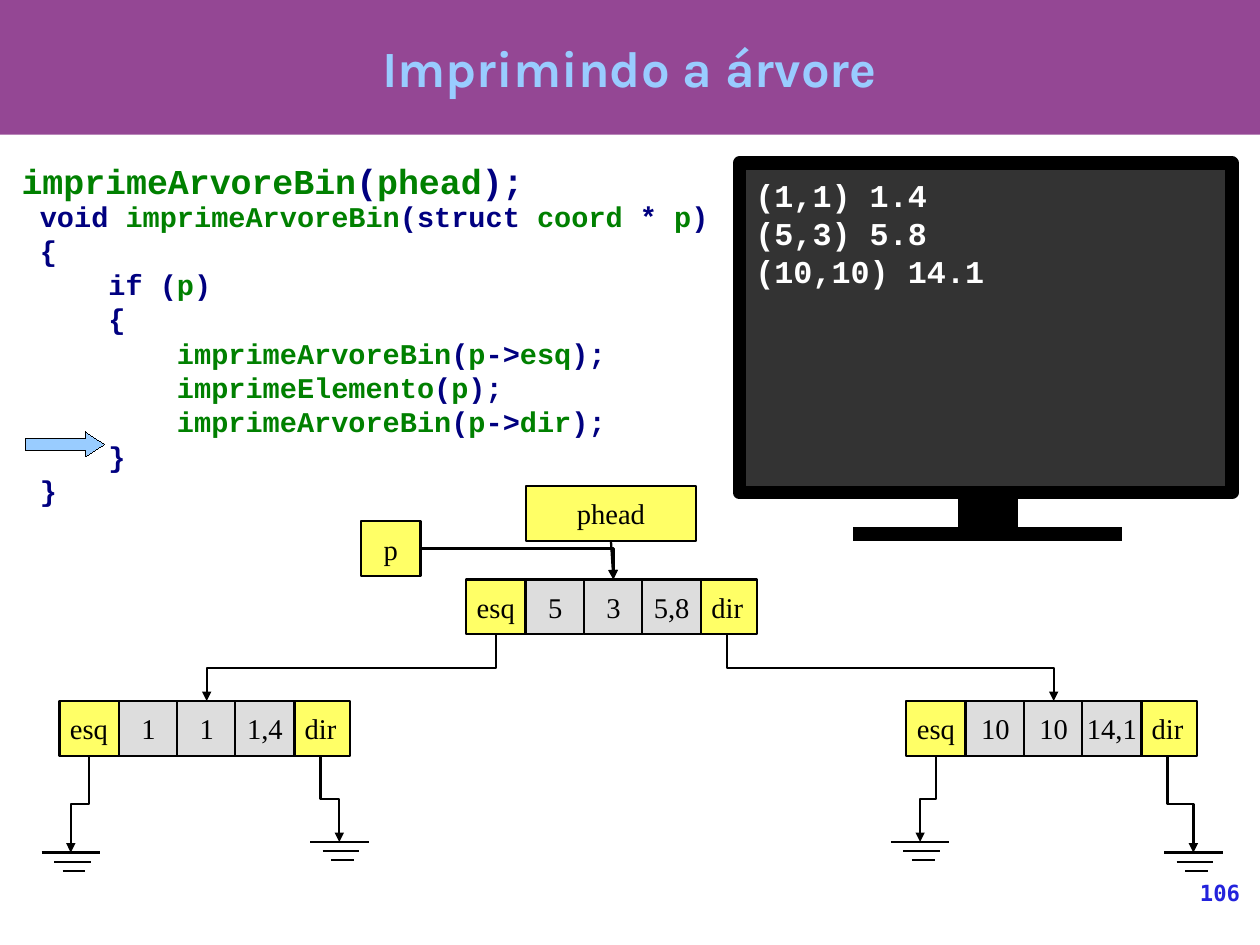
from pptx import Presentation
from pptx.dml.color import RGBColor
from pptx.enum.shapes import MSO_CONNECTOR, MSO_SHAPE
from pptx.enum.text import MSO_ANCHOR, MSO_AUTO_SIZE, PP_ALIGN
from pptx.oxml.ns import qn
from pptx.util import Pt
from lxml.etree import SubElement

BLACK, WHITE, NAVY, GREEN = "000000", "FFFFFF", "000080", "008000"
YELLOW, GREY, SKY = "FFFF66", "DDDDDD", "99CCFF"
SLIDE_W, SLIDE_H = 793.7, 595.28
CELL_W, CELL_H, PITCH, DIR_X = 37.4, 34.6, 36.7, 145.8
LINE_W, HAIRLINE = 1.45, 0.01

CODE = [
    "void |imprimeArvoreBin|(struct |coord |* |p|)",
    "{",
    "    if (|p|)",
    "    {",
    "        |imprimeArvoreBin|(|p|->|esq|);",
    "        |imprimeElemento|(|p|);",
    "        |imprimeArvoreBin|(|p|->|dir|);",
    "    }",
    "}",
]


def rgb(color):
    return RGBColor.from_string(color)


def style(r, size, font, color, bold=False):
    r.font.size = Pt(size)
    r.font.name = font
    r.font.bold = bold
    r.font.color.rgb = rgb(color)


def add_box(s, x, y, w, h, fill, line=None, width=HAIRLINE, kind=MSO_SHAPE.RECTANGLE):
    sp = s.shapes.add_shape(kind, Pt(x), Pt(y), Pt(w), Pt(h))
    sp.shadow.inherit = False
    sp.fill.solid()
    sp.fill.fore_color.rgb = rgb(fill)
    if line:
        sp.line.color.rgb = rgb(line)
        sp.line.width = Pt(width)
    else:
        sp.line.fill.background()
    return sp


def add_text(s, x, y, w, h, wrap=True):
    tf = s.shapes.add_textbox(Pt(x), Pt(y), Pt(w), Pt(h)).text_frame
    tf.word_wrap = wrap
    return tf


def add_line(shapes, x1, y1, x2, y2, kind=MSO_CONNECTOR.STRAIGHT, arrow=False):
    c = shapes.add_connector(kind, Pt(x1), Pt(y1), Pt(x2), Pt(y2))
    c.line.color.rgb = rgb(BLACK)
    c.line.width = Pt(LINE_W)
    if arrow:
        SubElement(c.element.spPr.find(qn("a:ln")), qn("a:tailEnd"), type="triangle")
    SubElement(c.element.spPr, qn("a:effectLst"))
    return c


def add_drop(s, x1, y1, x2, y2):
    run, fall = abs(x2 - x1), y2 - y1
    x, y = (x1 + x2 - fall) / 2, (y1 + y2 - run) / 2
    c = add_line(s.shapes, x, y, x + fall, y + run, MSO_CONNECTOR.ELBOW, True)
    xfrm = c.element.spPr.find(qn("a:xfrm"))
    if x2 < x1:
        xfrm.set("rot", "5400000")
    else:
        xfrm.set("rot", "16200000")
        xfrm.set("flipH", "1")


def add_cell(s, x, y, text, fill, w=CELL_W):
    sp = add_box(s, x, y, w, CELL_H, fill, BLACK, LINE_W)
    tf = sp.text_frame
    tf.text = text
    tf.word_wrap = False
    tf.vertical_anchor = MSO_ANCHOR.MIDDLE
    tf.margin_left = tf.margin_right = Pt(8)
    tf.margin_top = tf.margin_bottom = Pt(4)
    p = tf.paragraphs[0]
    p.alignment = PP_ALIGN.CENTER
    style(p.runs[0], 18, "Times New Roman", BLACK)
    return sp


def add_node(s, x, y, values):
    add_cell(s, x, y, "esq", YELLOW)
    add_cell(s, x + DIR_X, y, "dir", YELLOW)
    return [add_cell(s, x + CELL_W + PITCH * i, y, value, GREY)
            for i, value in enumerate(values)]


def add_ground(s, x, y):
    group = s.shapes.add_group_shape()
    for i, w in enumerate((36.8, 23, 14.4)):
        mid, row = x + i, y + 5.76 * i
        add_line(group.shapes, mid - w / 2, row, mid + w / 2, row)


def add_header(s, w, h, text):
    band = add_box(s, 0, -0.7, w, h, "944794")
    title = s.shapes.title
    title.element.addprevious(band.element)
    title.left, title.top, title.width, title.height = Pt(39.6), Pt(-0.7), Pt(w - 79.4), Pt(h)
    tf = title.text_frame
    tf.text = text
    tf.margin_left = tf.margin_right = tf.margin_top = tf.margin_bottom = 0
    tf.vertical_anchor = MSO_ANCHOR.MIDDLE
    p = tf.paragraphs[0]
    p.alignment = PP_ALIGN.CENTER
    style(p.runs[0], 32, "Karla", SKY, True)


def add_code(s, x, y, w, h, lines, size):
    tf = add_text(s, x, y, w, h)
    for i, line in enumerate(lines):
        p = tf.paragraphs[0] if i == 0 else tf.add_paragraph()
        for j, token in enumerate(line.split("|")):
            if token:
                r = p.add_run()
                r.text = token
                style(r, size, "Courier New", GREEN if j % 2 else NAVY, True)


def add_monitor(s, x, y, w, h, lines):
    add_box(s, x, y, w, h, "333333", BLACK, 8.65)
    add_box(s, x + 138.2, y + h + 2.8, 36.7, 19.4, BLACK, BLACK)
    add_box(s, x + 72, y + h + 22.2, 168.5, 7.9, BLACK, BLACK)
    tf = add_text(s, x + 2.9, y + 4.3, 162, 74.9, False)
    tf.auto_size = MSO_AUTO_SIZE.SHAPE_TO_FIT_TEXT
    tf.text = "\n".join(lines)
    for p in tf.paragraphs:
        style(p.runs[0], 20, "Courier New", WHITE, True)


def add_tree(s, x, y):
    root_x, root_y = x + 256.2, y + 59
    esq_mid, dir_mid, top_mid = CELL_W / 2, DIR_X + CELL_W / 2, PITCH + CELL_W * 1.5
    root = add_node(s, root_x, root_y, ("5", "3", "5,8"))
    children = [
        (x, esq_mid, ("1", "1", "1,4"), (7.2, 231.1), (176.4, 224.4)),
        (x + 533.5, dir_mid, ("10", "10", "14,1"), (542.2, 224.4), (714.3, 231.1)),
    ]
    for child_x, link, values, *grounds in children:
        child_y = y + 135.6
        add_node(s, child_x, child_y, values)
        add_drop(s, root_x + link, root_y + CELL_H, child_x + top_mid, child_y)
        for mid, (dx, dy) in zip((esq_mid, dir_mid), grounds):
            add_drop(s, child_x + mid, child_y + CELL_H, x + dx, y + dy)
            add_ground(s, x + dx, y + dy)
    add_cell(s, x + 190.1, y + 22.3, "p", YELLOW)
    elbow = add_line(s.shapes, x + 227.2, y + 39.6, root_x + top_mid, root_y,
                     MSO_CONNECTOR.ELBOW, True)
    elbow.element.spPr.find(qn("a:prstGeom")).set("prst", "bentConnector2")
    phead = add_cell(s, x + 293.8, y, "phead", YELLOW, 107.3)
    link = add_line(s.shapes, 0, 0, 1, 1, arrow=True)
    link.begin_connect(phead, 2)
    link.end_connect(root[1], 0)


def add_number(s, x, y, w, h, text):
    tf = add_text(s, x, y, w, h)
    tf.text = text
    tf.margin_left = tf.margin_right = tf.margin_top = tf.margin_bottom = 0
    p = tf.paragraphs[0]
    p.alignment = PP_ALIGN.RIGHT
    style(p.runs[0], 14, "DejaVu Sans Mono", "2323DC", True)


def main():
    prs = Presentation()
    prs.slide_width, prs.slide_height = Pt(SLIDE_W), Pt(SLIDE_H)
    s = prs.slides.add_slide(prs.slide_layouts[5])
    add_header(s, SLIDE_W, 85.5, "Imprimindo a árvore")
    add_code(s, 6.5, 97, 459.4, 37.4, ["|imprimeArvoreBin|(|phead|);"], 22)
    add_monitor(s, 465.8, 102.8, 310.3, 207.4, ["(1,1) 1.4", "(5,3) 5.8", "(10,10) 14.1"])
    step = add_box(s, 16.2, 272, 49.7, 15.8, SKY, BLACK, kind=MSO_SHAPE.RIGHT_ARROW)
    step.adjustments[0], step.adjustments[1] = 0.5, 0.77
    add_code(s, 18, 121.5, 447.8, 376.6, CODE, 18)
    add_tree(s, 37.4, 306)
    add_number(s, 660.2, 554.2, 121, 41, "106")
    prs.save("out.pptx")


if __name__ == "__main__":
    main()
